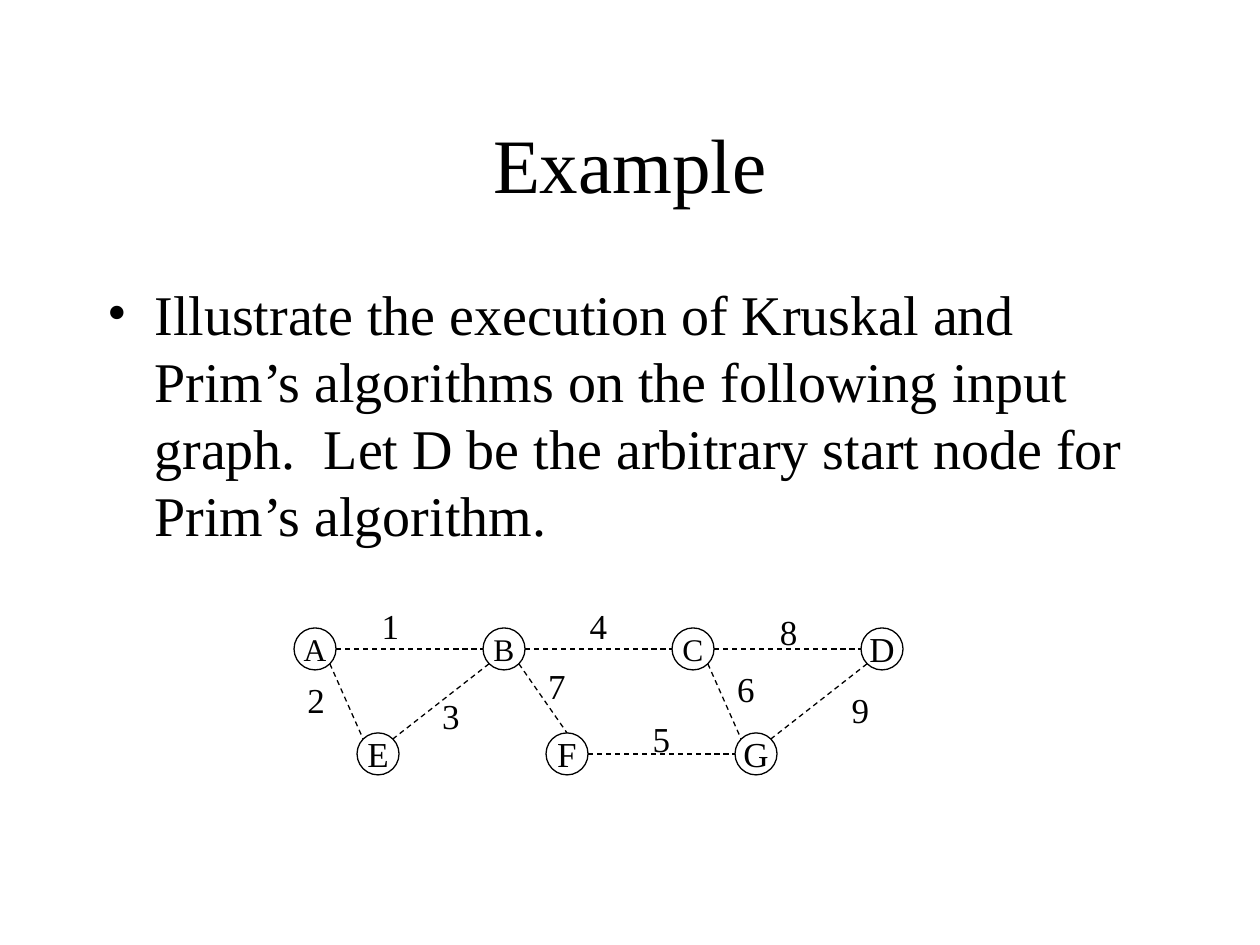
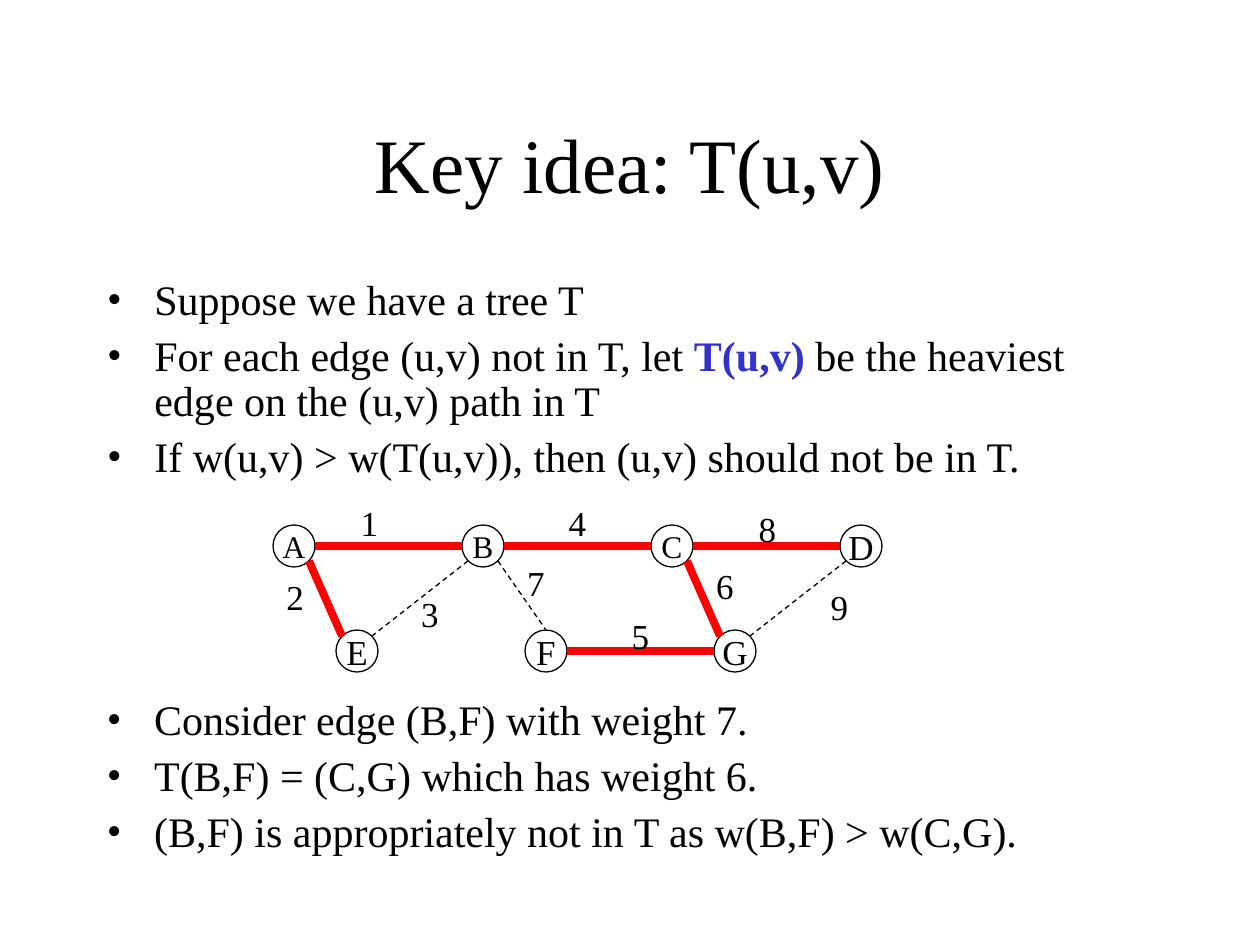
import pptx
import pptx.dml.color
import pptx.enum.dml
import pptx.enum.shapes
import pptx.enum.text
import pptx.oxml.ns
import pptx.util
from lxml import etree

Pt = pptx.util.Pt
Align = pptx.enum.text.PP_ALIGN
Anchor = pptx.enum.text.MSO_ANCHOR
AutoSize = pptx.enum.text.MSO_AUTO_SIZE
qn = pptx.oxml.ns.qn

FONT = "Times New Roman"
BLACK, BLUE, RED = "000000", "3333CC", "FF0000"
BODY_LEFT, BODY_TOP, BODY_WIDTH = 54, 156, 612
BULLET_INDENT = 27

NODE_SIZE = 24
NODE_STEP, LOWER_SHIFT, LOWER_DROP = 108, 36, 60
DIAGONAL = 8.5
NODE_ROWS = [("ABCD", 0, 0), ("EFG", LOWER_SHIFT, LOWER_DROP)]
SMALL_NODES = "ABC"
SITES = {
    "top": (0, -12), "left": (-12, 0), "right": (12, 0),
    "top left": (-DIAGONAL, -DIAGONAL), "top right": (DIAGONAL, -DIAGONAL),
    "bottom left": (-DIAGONAL, DIAGONAL), "bottom right": (DIAGONAL, DIAGONAL),
}
EDGES = [
    ("AB", "right", "left", 1, 42.7, -17),
    ("AE", "bottom right", "top left", 2, 0.3, 25.4),
    ("BE", "bottom left", "top right", 3, 77.3, 34.8),
    ("BC", "right", "left", 4, 161.5, -17),
    ("FG", "right", "left", 5, 197.5, 47.8),
    ("CG", "bottom right", "top left", 6, 245.8, 19),
    ("BF", "bottom right", "top", 7, 137.8, 17.5),
    ("CD", "right", "left", 8, 270.2, -13.4),
    ("DG", "bottom left", "top right", 9, 311.3, 31.2),
]
TREE = {"AB", "AE", "BC", "FG", "CG", "CD"}


def color(value):
    return pptx.dml.color.RGBColor.from_string(value)


def apply(target, values):
    for name, value in values.items():
        setattr(target, name, value)


def add_span(para, text, size, ink=BLACK, bold=False):
    span = para.add_run()
    span.text = text
    apply(span.font, {"name": FONT, "size": Pt(size), "bold": bold})
    span.font.color.rgb = color(ink)


def place(box, left, top, width, height):
    apply(box, {"left": Pt(left), "top": Pt(top), "width": Pt(width), "height": Pt(height)})


def set_frame(box, wrap=True, anchor=Anchor.TOP, auto_size=AutoSize.NONE):
    apply(box.text_frame, {
        "auto_size": auto_size, "word_wrap": wrap, "vertical_anchor": anchor,
        "margin_left": Pt(7.2), "margin_right": Pt(7.2),
        "margin_top": Pt(3.6), "margin_bottom": Pt(3.6),
    })


def write_line(box, text, size, align):
    para = box.text_frame.paragraphs[0]
    para.alignment = align
    add_span(para, text, size)


def add_bullet(para):
    properties = para._p.get_or_add_pPr()
    properties.set("marL", str(Pt(BULLET_INDENT)))
    properties.set("indent", str(-Pt(BULLET_INDENT)))
    bullet_color = etree.SubElement(properties, qn("a:buClr"))
    etree.SubElement(bullet_color, qn("a:srgbClr"), val=BLACK)
    etree.SubElement(properties, qn("a:buFont"), typeface=FONT)
    etree.SubElement(properties, qn("a:buChar"), char="•")


def fill_list(box, items, size, line_spacing=1.0):
    set_frame(box)
    frame = box.text_frame
    for index, spans in enumerate(items):
        para = frame.add_paragraph() if index else frame.paragraphs[0]
        add_bullet(para)
        apply(para, {"alignment": Align.LEFT, "line_spacing": line_spacing,
                     "space_before": Pt(6 if index else 0)})
        for text, *style in spans:
            add_span(para, text, size, *style)


def add_page(deck, title, items, size, height, line_spacing=1.0):
    page = deck.slides.add_slide(deck.slide_layouts[1])
    heading, body = page.placeholders
    place(heading, 54, 48, 612, 90)
    set_frame(heading, anchor=Anchor.MIDDLE)
    write_line(heading, title, 44, Align.CENTER)
    place(body, BODY_LEFT, BODY_TOP, BODY_WIDTH, height)
    fill_list(body, items, size, line_spacing)
    return page


def add_node(page, name, x, y):
    half = NODE_SIZE / 2
    node = page.shapes.add_shape(
        pptx.enum.shapes.MSO_SHAPE.OVAL,
        Pt(x - half), Pt(y - half), Pt(NODE_SIZE), Pt(NODE_SIZE))
    node.shadow.inherit = False
    node.fill.background()
    node.line.color.rgb = color(BLACK)
    node.line.width = Pt(0.75)
    set_frame(node, wrap=False, anchor=Anchor.MIDDLE)
    write_line(node, name, 18 if name in SMALL_NODES else 20, Align.CENTER)


def add_edge(page, start, end, in_tree):
    edge = page.shapes.add_connector(
        pptx.enum.shapes.MSO_CONNECTOR.STRAIGHT, *map(Pt, start + end))
    edge.line.color.rgb = color(RED if in_tree else BLACK)
    edge.line.width = Pt(4.5 if in_tree else 0.75)
    if not in_tree:
        edge.line.dash_style = pptx.enum.dml.MSO_LINE.DASH
    etree.SubElement(edge._element.spPr, qn("a:effectLst"))


def add_weight(page, weight, left, top):
    box = page.shapes.add_textbox(Pt(left), Pt(top), Pt(24.5), Pt(31.7))
    set_frame(box, wrap=False, auto_size=AutoSize.SHAPE_TO_FIT_TEXT)
    write_line(box, str(weight), 20, Align.RIGHT)


def site_point(center, site):
    return tuple(base + shift for base, shift in zip(center, SITES[site]))


def add_graph(page, left, top, tree=()):
    half = NODE_SIZE / 2
    centers = {
        name: (left + half + shift + column * NODE_STEP, top + half + drop)
        for names, shift, drop in NODE_ROWS
        for column, name in enumerate(names)
    }
    for name, center in centers.items():
        add_node(page, name, *center)
    for ends, start_site, end_site, *_ in EDGES:
        add_edge(page, site_point(centers[ends[0]], start_site),
                 site_point(centers[ends[1]], end_site), ends in tree)
    for *_, weight, x, y in EDGES:
        add_weight(page, weight, left + x, top + y)


def main():
    deck = pptx.Presentation()
    apply(deck, {"slide_width": Pt(720), "slide_height": Pt(540)})

    example = add_page(deck, "Example", [[(
        "Illustrate the execution of Kruskal and Prim’s algorithms on the following "
        "input graph.  Let D be the arbitrary start node for Prim’s algorithm.",)]], 32, 174)
    add_graph(example, 168, 358.8)

    key_idea = add_page(deck, "Key idea: T(u,v)", [
        [("Suppose we have a tree T",)],
        [("For each edge (u,v) not in T, let ",), ("T(u,v)", BLUE, True),
         (" be the heaviest edge on the (u,v) path in T",)],
        [("If w(u,v) > w(T(u,v)), then (u,v) should not be in T.",)],
    ], 24, 138, 0.9)
    add_graph(key_idea, 156, 300, TREE)
    conclusion = key_idea.shapes.add_textbox(Pt(BODY_LEFT), Pt(396), Pt(BODY_WIDTH), Pt(102))
    fill_list(conclusion, [
        [("Consider edge (B,F) with weight 7.",)],
        [("T(B,F) = (C,G) which has weight 6.",)],
        [("(B,F) is appropriately not in T as w(B,F) > w(C,G).",)],
    ], 24, 0.9)

    deck.save("out.pptx")


if __name__ == "__main__":
    main()
